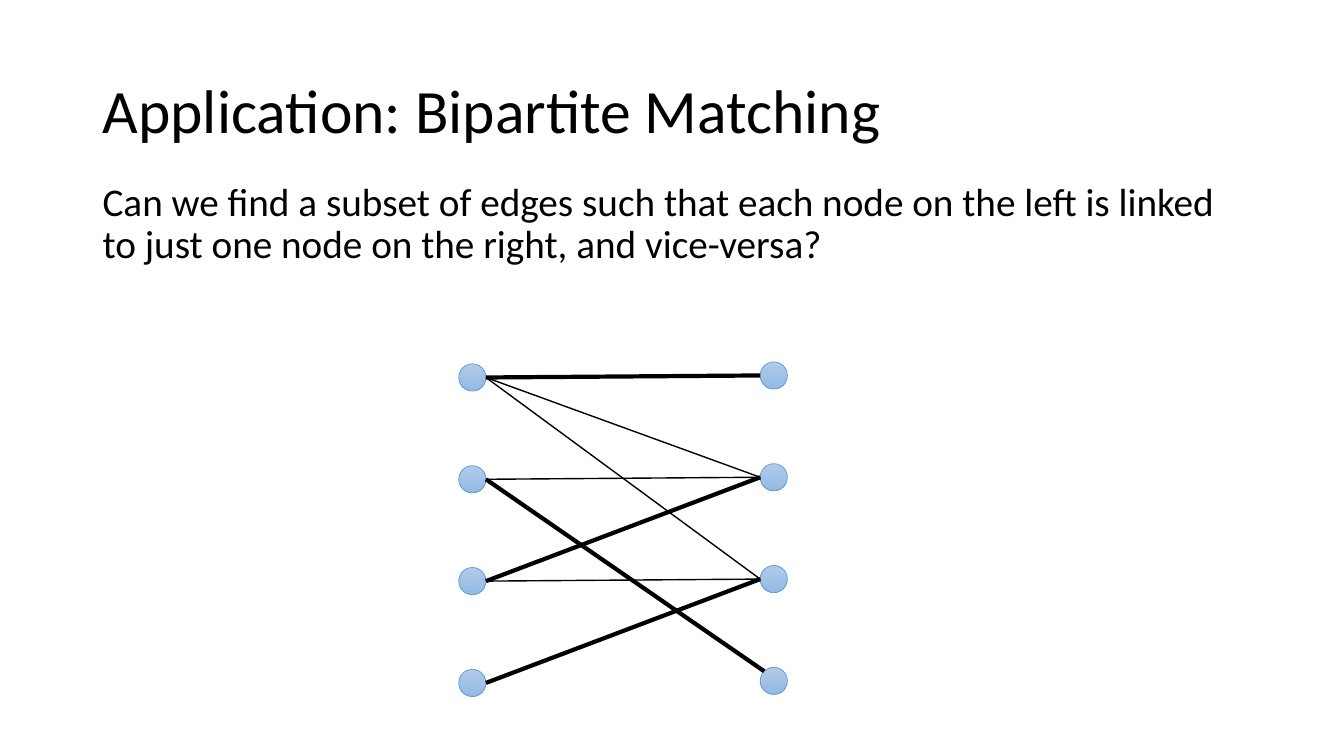
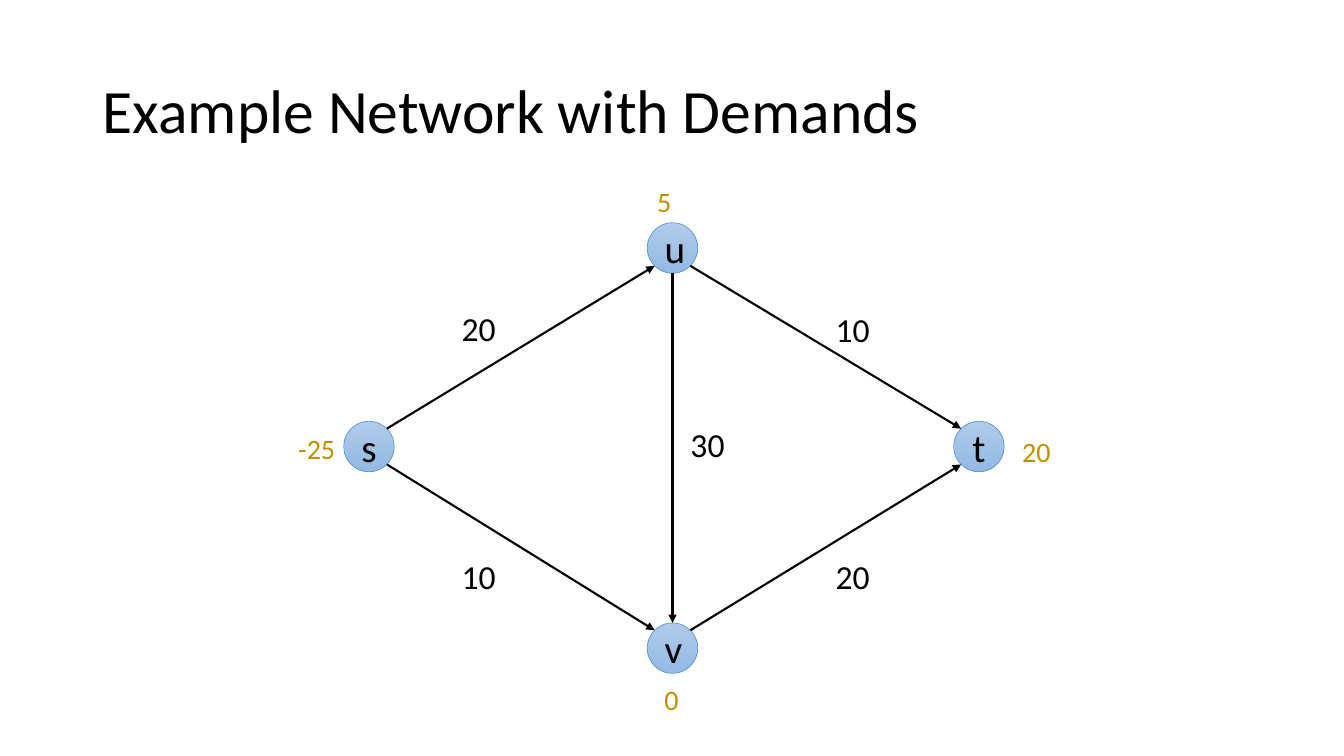
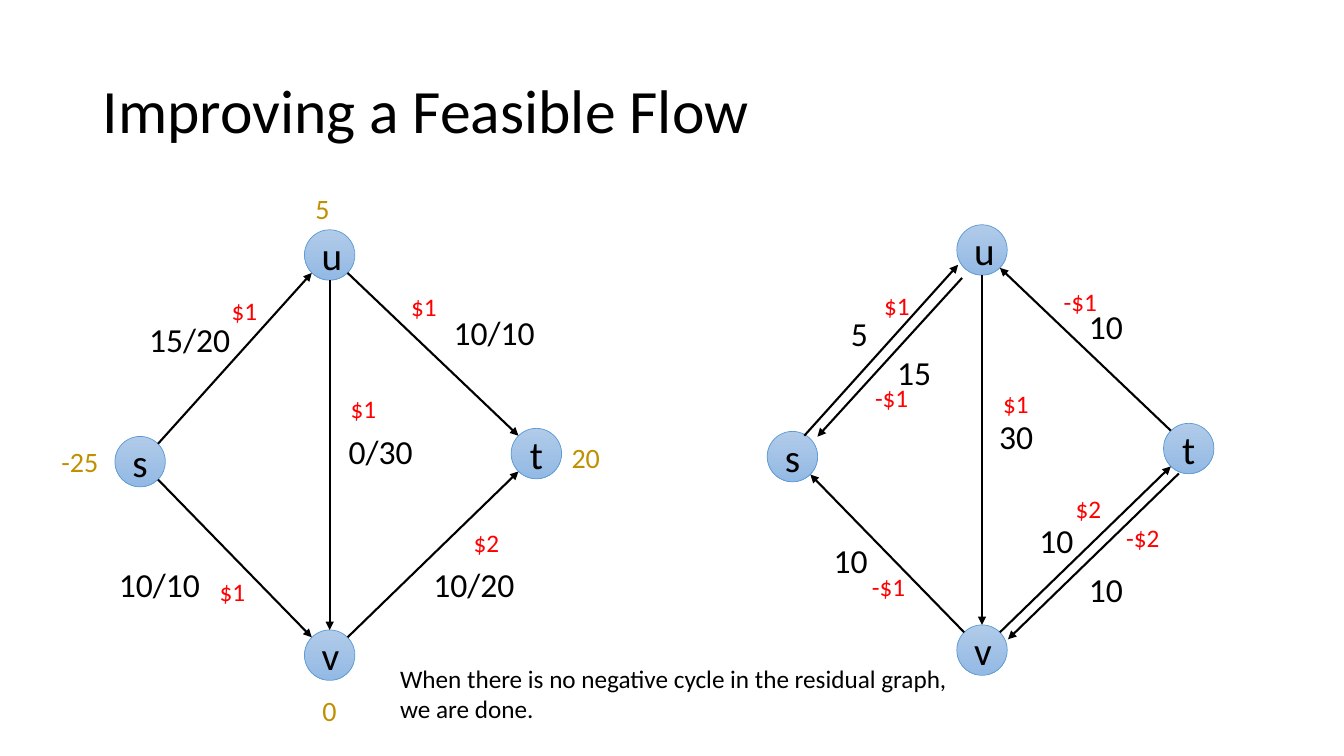
from lxml import etree
from pptx import Presentation
from pptx.dml.color import RGBColor
from pptx.enum.shapes import MSO_CONNECTOR, MSO_SHAPE
from pptx.enum.text import MSO_ANCHOR, PP_ALIGN
from pptx.oxml.ns import qn
from pptx.util import Inches, Pt

STRAIGHT = MSO_CONNECTOR.STRAIGHT
CIRCLE = MSO_SHAPE.FLOWCHART_CONNECTOR
TOP, MIDDLE = MSO_ANCHOR.TOP, MSO_ANCHOR.MIDDLE
CENTER = PP_ALIGN.CENTER

FONT = "Calibri"
BLACK = RGBColor(0x00, 0x00, 0x00)
NODE_TOP = RGBColor(0xB1, 0xCB, 0xE9)
NODE_BOTTOM = RGBColor(0x93, 0xB9, 0xE4)
NODE_LINE = RGBColor(0x5B, 0x9B, 0xD5)
GOLD = RGBColor(0xBF, 0x90, 0x00)
RED = RGBColor(0xFF, 0x00, 0x00)

CAPACITY = (24, BLACK)
DEMAND = (20, GOLD)
COST = (18, RED)

NODE_SIZE = 0.5
DOT_SIZE = 0.27
DIAGONAL = 0.71
NARROW = {"-": 0.31, "/": 0.39}  # glyph widths in ems
DIGIT_WIDTH = 0.507


def set_font(p, size, color):
    p.font.name = FONT
    p.font.size = Pt(size)
    p.font.color.rgb = color


def add_text(slide, text, left, top, width, height, size, color=BLACK,
             wrap=True, anchor=TOP):
    tf = slide.shapes.add_textbox(Inches(left), Inches(top),
                                  Inches(width), Inches(height)).text_frame
    tf.word_wrap = wrap
    tf.vertical_anchor = anchor
    p = tf.paragraphs[0]
    p.text = text
    set_font(p, size, color)
    return p


def add_label(slide, text, left, top, style):
    """Add a one-line label in a box fitted to its text."""
    size, color = style
    ems = sum(NARROW.get(char, DIGIT_WIDTH) for char in text)
    add_text(slide, text, left, top, 0.2 + ems * size / 72,
             0.1 + 1.22 * size / 72, size, color, wrap=False)


def add_node(slide, x, y, size, text=""):
    """Add a circle centred on (x, y)."""
    sp = slide.shapes.add_shape(CIRCLE, Inches(x - size / 2), Inches(y - size / 2),
                                Inches(size), Inches(size))
    sp.shadow.inherit = False
    sp.fill.gradient()
    sp.fill.gradient_angle = 270
    for stop, color in zip(sp.fill.gradient_stops, (NODE_TOP, NODE_BOTTOM)):
        stop.color.rgb = color
    sp.line.color.rgb = NODE_LINE
    sp.line.width = Pt(0.5)
    if text:
        tf = sp.text_frame
        tf.vertical_anchor = MIDDLE
        p = tf.paragraphs[0]
        p.text = text
        p.alignment = CENTER
        set_font(p, 28, BLACK)


def add_line(slide, start, end, width, arrow=False):
    line = slide.shapes.add_connector(STRAIGHT, *(Inches(v) for v in (*start, *end)))
    line.line.color.rgb = BLACK
    line.line.width = Pt(width)
    if arrow:
        etree.SubElement(line.line._get_or_add_ln(), qn("a:tailEnd"), type="triangle")
    etree.SubElement(line._element.spPr, qn("a:effectLst"))


def rim_point(node, other):
    """Return the point of a node's rim, in 45 degree steps, that faces another node."""
    (x, y), (ox, oy) = node, other
    sx, sy = (ox > x) - (ox < x), (oy > y) - (oy < y)
    reach = NODE_SIZE / 2 * (DIAGONAL if sx and sy else 1)
    return x + sx * reach, y + sy * reach


def add_network(slide, left, top, nodes, edges, labels):
    """Draw a flow network; an edge is its two node names, then optional end shifts."""
    centers = {name: (left + x, top + y) for name, (x, y) in nodes.items()}
    for name, (x, y) in centers.items():
        add_node(slide, x, y, NODE_SIZE, name)
    for (a, b), *shifts in edges:
        ends = (rim_point(centers[a], centers[b]), rim_point(centers[b], centers[a]))
        start, end = ((x + dx, y + dy) for (x, y), (dx, dy)
                      in zip(ends, shifts or [(0, 0)] * 2))
        add_line(slide, start, end, 1.5, arrow=True)
    for style, items in labels:
        for text, x, y in items:
            add_label(slide, text, left + x, top + y, style)


def add_bipartite(slide, left, top, width, pitch, edges):
    """Draw two columns of four dots; an edge is left row, right row, line width."""
    r = DOT_SIZE / 2
    left_x, right_x = left + r, left + width - r
    left_y = [top + r + 0.02 + row * pitch for row in range(4)]
    right_y = [top + r + row * pitch for row in range(4)]
    for x, column in ((left_x, left_y), (right_x, right_y)):
        for y in column:
            add_node(slide, x, y, DOT_SIZE)
    for i, j, weight in edges:
        end = (right_x - r, right_y[j])
        if j - i > 1 and j == 3:  # a steep edge meets the dot at its upper left
            end = (right_x - r * DIAGONAL, right_y[j] - r * DIAGONAL)
        add_line(slide, (left_x + r, left_y[i]), end, weight)


def new_slide(prs, title):
    slide = prs.slides.add_slide(prs.slide_layouts[6])
    p = add_text(slide, title, 0.92, 0.4, 11.5, 1.45, 44, anchor=MIDDLE)
    p.line_spacing = 0.9
    return slide


def matching_slide(prs):
    slide = new_slide(prs, "Application: Bipartite Matching")
    p = add_text(slide, "Can we find a subset of edges such that each node on the left "
                 "is linked to just one node on the right, and vice-versa?",
                 0.92, 1.76, 11.5, 1.1, 28)
    p.line_spacing = 0.9
    p.space_before = Pt(10)
    thin, bold = 1, 3
    add_bipartite(slide, 4.55, 3.59, 3.26, 1.01, [
        (0, 0, bold), (3, 2, bold), (0, 1, thin), (0, 2, thin),
        (2, 1, bold), (2, 2, thin), (1, 1, thin), (1, 3, bold)])


FLOW_EDGES = [("su",), ("ut",), ("sv",), ("vt",), ("uv",)]


def demands_slide(prs):
    slide = new_slide(prs, "Example Network with Demands")
    nodes = {"t": (6.85, 2.65), "s": (0.8, 2.65), "v": (3.81, 4.65), "u": (3.81, 0.68)}
    add_network(slide, 2.86, 1.78, nodes, FLOW_EDGES, [
        (CAPACITY, [("30", 3.89, 2.38), ("20", 1.62, 1.23), ("20", 5.33, 3.69),
                    ("10", 1.62, 3.69), ("10", 5.33, 1.24)]),
        (DEMAND, [("20", 7.18, 2.48), ("-25", 0, 2.45), ("5", 3.56, 0),
                  ("0", 3.63, 4.94)])])


def improving_slide(prs):
    slide = new_slide(prs, "Improving a Feasible Flow")
    nodes = {"t": (4.82, 2.65), "s": (0.89, 2.73), "v": (2.77, 4.65), "u": (2.77, 0.68)}
    cost_spots = [(1.7, 1.03), (2.88, 2), (4.1, 3.33), (1.58, 3.82), (3.48, 0.99)]

    def costs(*texts):
        return [(text, *spot) for text, spot in zip(texts, cost_spots)]

    add_network(slide, 0.5, 1.85, nodes, FLOW_EDGES, [
        (CAPACITY, [("0/30", 2.86, 2.38), ("15/20", 0.88, 1.26), ("10/20", 3.7, 3.69),
                    ("10/10", 0.58, 3.69), ("10/10", 3.9, 1.19)]),
        (DEMAND, [("20", 5.07, 2.47), ("-25", 0.01, 2.51), ("5", 2.53, 0),
                  ("0", 2.6, 4.98)]),
        (COST, costs("$1", "$1", "$2", "$1", "$1"))])

    residual_edges = [
        ("su", (-0.06, -0.03), (-0.06, -0.03)), ("us", (-0.02, 0.1), (0.07, -0.02)),
        ("tu",), ("vs",), ("uv",),
        ("vt",), ("tv", (0.08, 0.07), (0.08, 0.07))]
    add_network(slide, 6.97, 1.8, nodes, residual_edges, [
        (CAPACITY, [("10", 1.2, 3.51), ("10", 3.73, 1.19), ("10", 3.73, 3.79),
                    ("5", 1.37, 1.25), ("15", 1.83, 1.64), ("30", 2.84, 2.28),
                    ("10", 3.24, 3.31)]),
        (COST, costs("$1", "$1", "-$2", "-$1", "-$1")
         + [("-$1", 1.61, 1.94), ("$2", 3.6, 3.04)])])

    add_text(slide, "When there is no negative cycle in the residual graph, we are done.",
             3.87, 6.53, 5.74, 0.71, 18)


def main():
    prs = Presentation()
    prs.slide_width, prs.slide_height = Inches(13.33), Inches(7.5)
    matching_slide(prs)
    demands_slide(prs)
    improving_slide(prs)
    prs.save("out.pptx")


if __name__ == "__main__":
    main()
